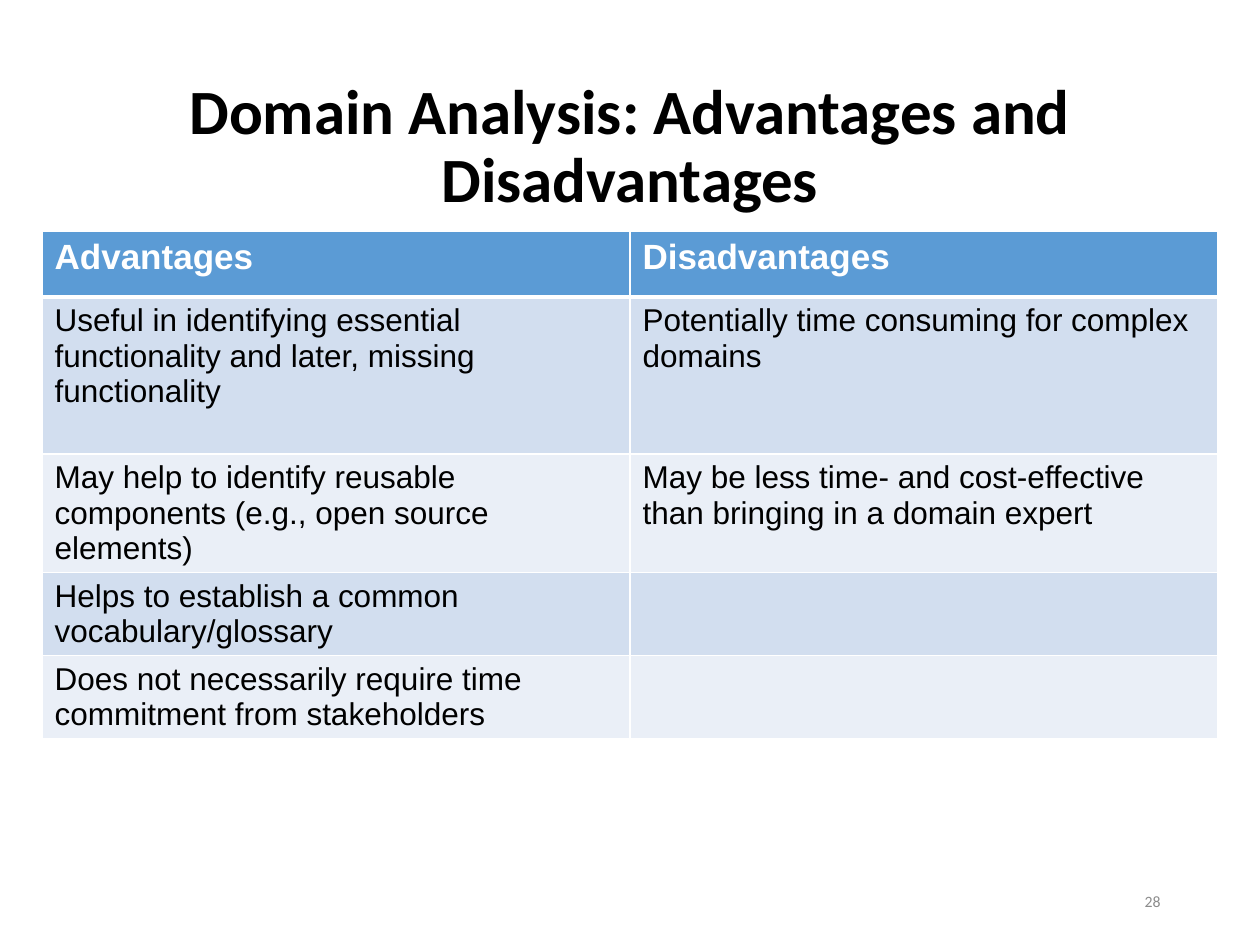
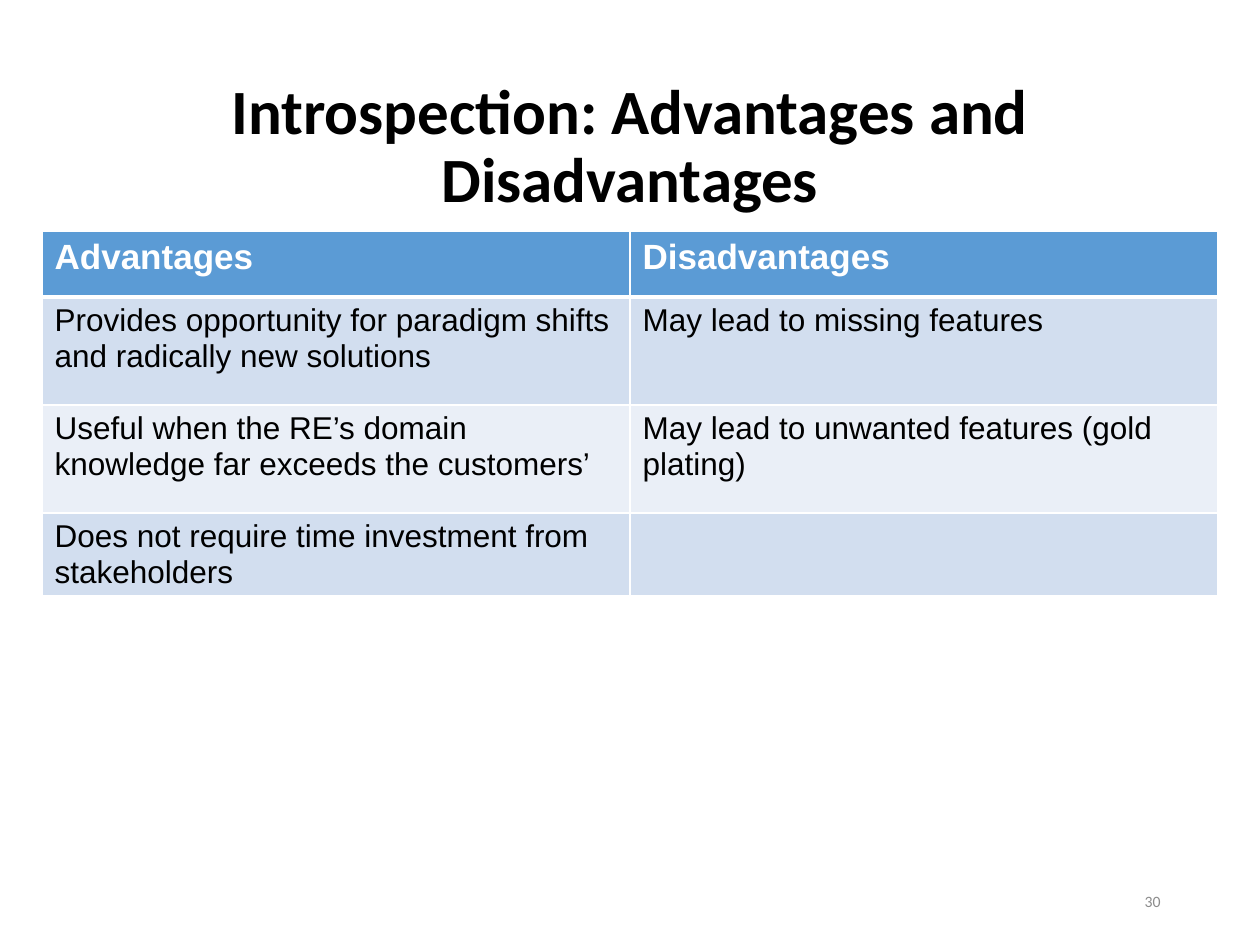
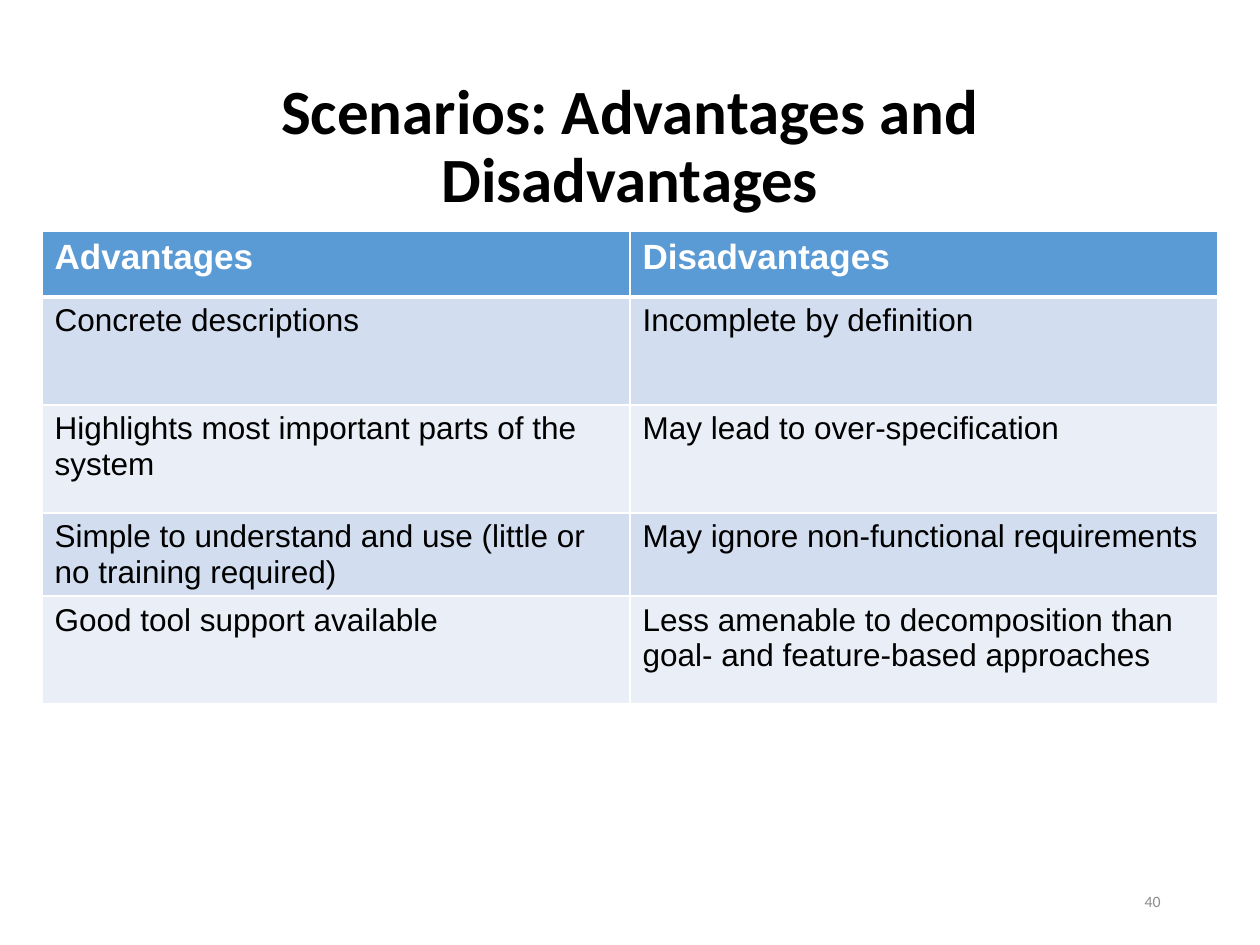
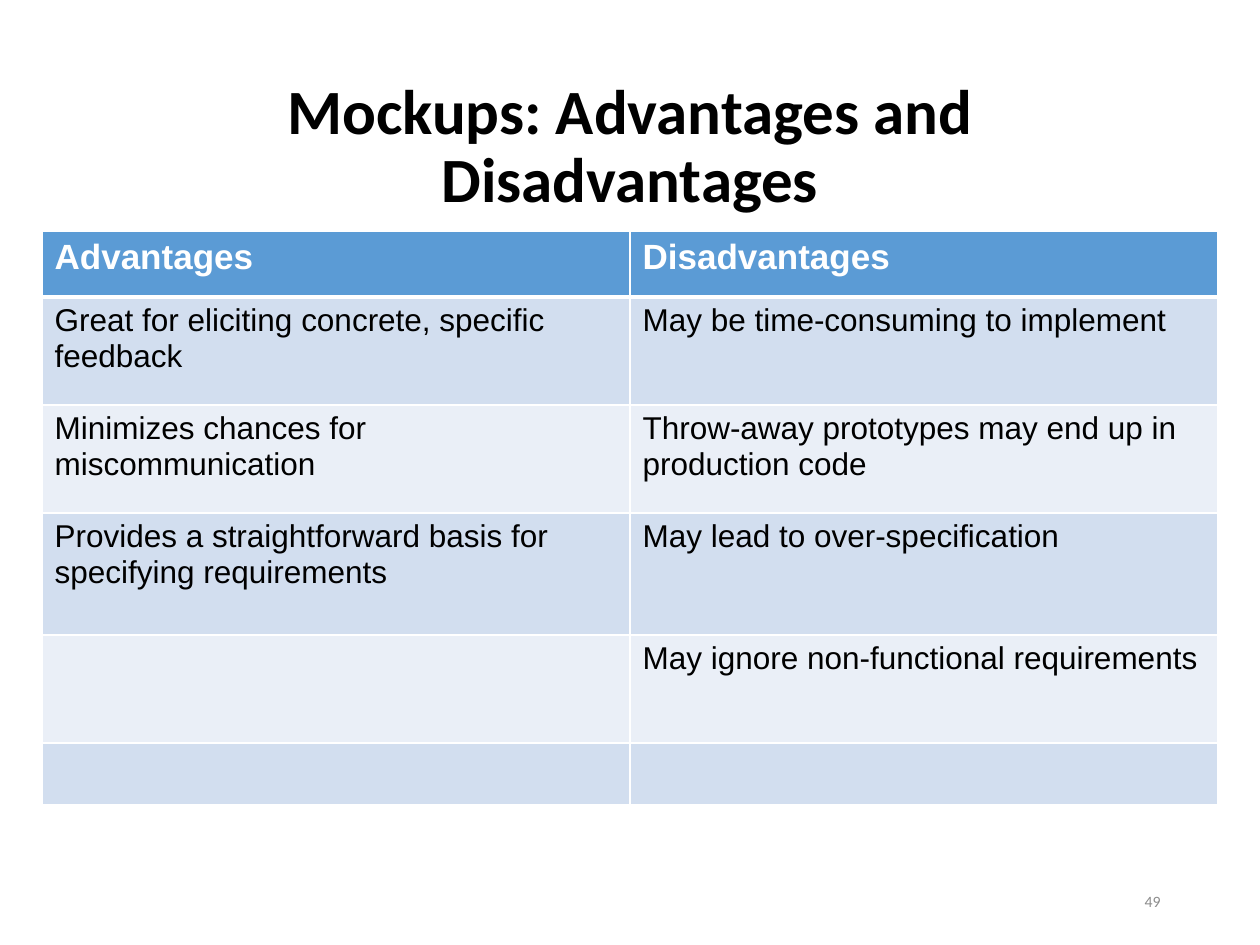
from lxml import etree
from pptx import Presentation
from pptx import util as u
from pptx.dml import color
from pptx.enum import text
from pptx.oxml import ns

PX = 914400 / 126
COLORS = {
    "background": "FFFFFF",
    "title": "000000",
    "number": "8C8C8C",
    "header": "5B9BD5",
    "header_text": "FFFFFF",
    "body_text": "000000",
    "odd_row": "D2DEEF",
    "even_row": "EAEFF7",
    "border": "FFFFFF",
}
TITLE = {"name": "Calibri", "size": u.Pt(36), "bold": True}
NUMBER = {"name": "Calibri", "size": u.Pt(9), "bold": False}
HEADER = {"name": "Arial", "size": u.Pt(20), "bold": True}
BODY = {"name": "Arial", "size": u.Pt(18), "bold": False}

COLUMNS = ("Advantages", "Disadvantages")
COLUMN_WIDTH = 588
HEADER_HEIGHT = 66

TOPICS = [
    ("Domain Analysis", "28", [
        (157, "Useful in identifying essential functionality and later, missing functionality",
         "Potentially time consuming for complex domains"),
        (118, "May help to identify reusable components (e.g., open source elements)",
         "May be less time- and cost-effective than bringing in a domain expert"),
        (83, "Helps to establish a common vocabulary/glossary", ""),
        (83, "Does not necessarily require time commitment from stakeholders", ""),
    ]),
    ("Introspection", "30", [
        (108, "Provides opportunity for paradigm shifts and radically new solutions",
         "May lead to missing features"),
        (108, "Useful when the RE’s domain knowledge far exceeds the customers’",
         "May lead to unwanted features (gold plating)"),
        (83, "Does not require time investment from stakeholders", ""),
    ]),
    ("Scenarios", "40", [
        (108, "Concrete descriptions", "Incomplete by definition"),
        (108, "Highlights most important parts of the system",
         "May lead to over-specification"),
        (83, "Simple to understand and use (little or no training required)",
         "May ignore non-functional requirements"),
        (108, "Good tool support available",
         "Less amenable to decomposition than goal- and feature-based approaches"),
    ]),
    ("Mockups", "49", [
        (108, "Great for eliciting concrete, specific feedback",
         "May be time-consuming to implement"),
        (108, "Minimizes chances for miscommunication",
         "Throw-away prototypes may end up in production code"),
        (122, "Provides a straightforward basis for specifying requirements",
         "May lead to over-specification"),
        (108, "", "May ignore non-functional requirements"),
        (62, "", ""),
    ]),
]


def px(n):
    return u.Emu(round(n * PX))


def rgb(key):
    return color.RGBColor.from_string(COLORS[key])


def write(tf, words, style, color_key, align):
    p = tf.paragraphs[0]
    p.alignment = align
    font = p.font
    if words:
        r = p.add_run()
        r.text = words
        font = r.font
    for name, value in style.items():
        setattr(font, name, value)
    font.color.rgb = rgb(color_key)
    return p


def set_frame(tf):
    frame = {"word_wrap": True, "auto_size": text.MSO_AUTO_SIZE.NONE,
             "vertical_anchor": text.MSO_ANCHOR.MIDDLE}
    for name, value in frame.items():
        setattr(tf, name, value)


def add_title(s, words):
    sp = s.shapes.title
    sp.left, sp.top, sp.width, sp.height = map(px, (87, 97, 1086, 102))
    set_frame(sp.text_frame)
    p = write(sp.text_frame, words, TITLE, "title", text.PP_ALIGN.CENTER)
    p.line_spacing = 0.9


def add_number(s, number):
    sp = s.shapes.add_textbox(*map(px, (890, 876, 283, 50)))
    set_frame(sp.text_frame)
    write(sp.text_frame, number, NUMBER, "number", text.PP_ALIGN.RIGHT)


def set_border(cell, side, points):
    ln = etree.SubElement(cell._tc.get_or_add_tcPr(), ns.qn(f"a:ln{side}"),
                          w=str(u.Pt(points)))
    fill = etree.SubElement(ln, ns.qn("a:solidFill"))
    etree.SubElement(fill, ns.qn("a:srgbClr"), val=COLORS["border"])


def format_cell(cell, words, row):
    widths = {"L": 1, "R": 1, "T": 3 if row == 1 else 1, "B": 3 if row == 0 else 1}
    for side, points in widths.items():
        set_border(cell, side, points)
    if row == 0:
        fill, style, ink = "header", HEADER, "header_text"
    else:
        fill, style, ink = "odd_row" if row % 2 else "even_row", BODY, "body_text"
    cell.fill.solid()
    cell.fill.fore_color.rgb = rgb(fill)
    write(cell.text_frame, words, style, ink, text.PP_ALIGN.LEFT)


def add_comparison(s, points):
    rows = [(HEADER_HEIGHT, *COLUMNS), *points]
    height = sum(row[0] for row in rows)
    table = s.shapes.add_table(len(rows), len(COLUMNS), px(42), px(231),
                               px(COLUMN_WIDTH * len(COLUMNS)), px(height)).table
    for column in table.columns:
        column.width = px(COLUMN_WIDTH)
    for i, (row_height, *entries) in enumerate(rows):
        table.rows[i].height = px(row_height)
        for j, words in enumerate(entries):
            format_cell(table.cell(i, j), words, i)


def main():
    prs = Presentation()
    prs.slide_width, prs.slide_height = px(1260), px(945)
    background = prs.slide_master.background.fill
    background.solid()
    background.fore_color.rgb = rgb("background")
    for topic, number, points in TOPICS:
        s = prs.slides.add_slide(prs.slide_layouts[5])
        add_number(s, number)
        add_title(s, f"{topic}: Advantages and Disadvantages")
        add_comparison(s, points)
    prs.save("out.pptx")


if __name__ == "__main__":
    main()
